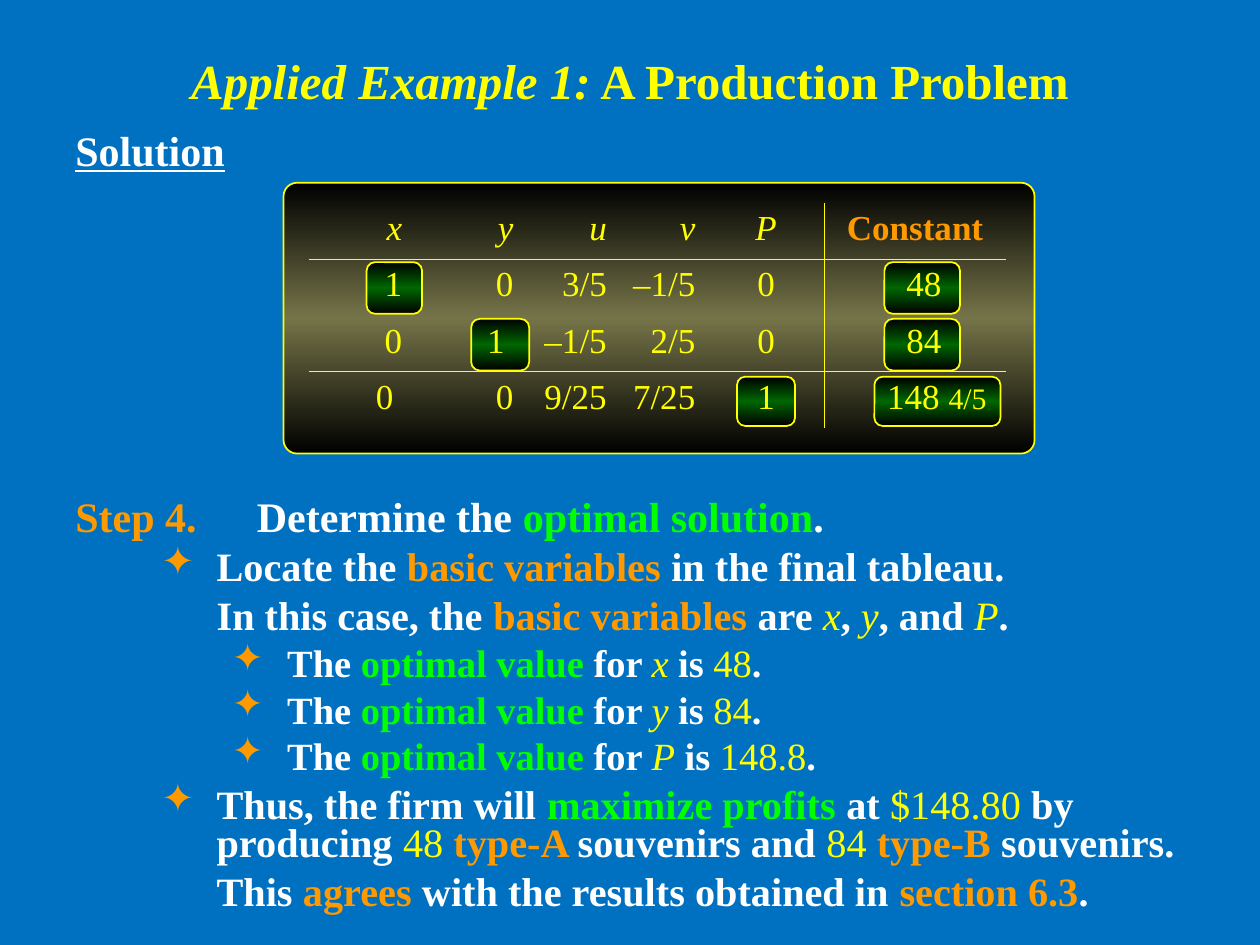
"""Build the slide on a production problem and its final tableau."""
from copy import deepcopy
from dataclasses import dataclass
from typing import Any

from lxml.etree import SubElement
from pptx import Presentation
from pptx.dml.color import RGBColor
from pptx.enum.shapes import MSO_SHAPE
from pptx.enum.text import MSO_ANCHOR, PP_ALIGN
from pptx.oxml.ns import qn
from pptx.util import Pt

HUES = {
    "blue": "0070C0", "white": "FFFFFF", "yellow": "FFFF00", "orange": "FF9900",
    "lime": "00FF00", "black": "000000", "olive": "757448", "green": "006600",
}
LOOKS = {
    "white": ("white", {"bold": True}),
    "under": ("white", {"bold": True, "underline": True}),
    "orange": ("orange", {"bold": True}),
    "lime": ("lime", {"bold": True}),
    "head": ("yellow", {"bold": True}),
    "slant": ("yellow", {"bold": True, "italic": True}),
    "num": ("yellow", {"bold": False}),
    "var": ("yellow", {"bold": False, "italic": True}),
}


@dataclass
class Panel:
    left: float
    top: float
    width: float
    height: float
    glow: str = "green"
    curve: float = 0.165


@dataclass
class Level:
    size: float
    left: float
    hang: float
    before: float = 0
    lines: float = 1.0
    mark: bool = False


@dataclass
class Entry:
    text: str
    look: str = "num"
    align: Any = PP_ALIGN.RIGHT
    west: float = 7.2
    east: float = 7.2
    tail: str = ""


STEP = Level(24, 103.7, -103.7)
POINT = Level(23, 80.7, -31.7, 5.8, 0.8, True)
NOTE = Level(23, 80.7, 0, 5.8, 0.8)
VALUE = Level(22, 121, -31.7, 5.5, 0.8, True)

PANELS = [
    Panel(162, 104.4, 429.2, 154.8, "olive", 0.05),
    Panel(209.5, 149.8, 31.7, 29.5),
    Panel(505.4, 149.8, 43.2, 29.5),
    Panel(269.3, 182.2, 33.1, 29.5),
    Panel(505.4, 182.2, 43.2, 29.5),
    Panel(421.2, 215.3, 33.1, 28.1),
    Panel(499.7, 215.3, 72, 28.1),
]


def result(name: str, value: str) -> tuple:
    """Give one line that states an optimal value."""
    return VALUE, [("The ", "white"), ("optimal value", "lime"), (" for ", "white"),
                   (name, "var"), (" is ", "white"), (value, "num"), (".", "white")]


STEPS = [
    (STEP, [("Step 4.\t", "orange"), ("Determine the ", "white"),
            ("optimal solution", "lime"), (".", "white")]),
    (POINT, [("Locate the ", "white"), ("basic variables", "orange"),
             (" in the final tableau.", "white")]),
    (NOTE, [("In this case, the ", "white"), ("basic variables", "orange"),
            (" are ", "white"), ("x", "var"), (", ", "white"), ("y", "var"),
            (", and ", "white"), ("P", "var"), (".", "white")]),
    *[result(*pair) for pair in (("x", "48"), ("y", "84"), ("P", "148.8"))],
    (POINT, [("Thus, the firm will ", "white"), ("maximize profits", "lime"),
             (" at ", "white"), ("$148.80", "num"), (" by producing ", "white"),
             ("48 ", "num"), ("type-A ", "orange"), ("souvenirs and ", "white"),
             ("84 ", "num"), ("type-B", "orange"), (" souvenirs.", "white")]),
    (NOTE, [("This ", "white"), ("agrees", "orange"),
            (" with the results obtained in ", "white"),
            ("section 6.3", "orange"), (".", "white")]),
]

MID = PP_ALIGN.CENTER
WIDTHS = [60.6, 63.6, 53.4, 50.6, 66.4, 104]
GRID = [
    [*[Entry(name, "var") for name in "xyuv"], Entry("P", "var", MID),
     Entry("Constant", "orange", MID)],
    [*[Entry(num) for num in ("1", "0", "3/5", "–1/5")], Entry("0", align=MID),
     Entry("48", align=MID, west=17.2)],
    [Entry("0"), Entry("1", east=12.2), Entry("–1/5"), Entry("2/5"),
     Entry("0", align=MID), Entry("84", align=MID, west=17.2)],
    [Entry("0", east=12.2), *[Entry(num) for num in ("0", "9/25", "7/25")],
     Entry("1", align=MID), Entry("148 ", align=MID, west=32.2, tail="4/5")],
]


def tint(key: str) -> RGBColor:
    """Give a named colour."""
    return RGBColor.from_string(HUES[key])


def apply(thing: Any, form: dict) -> None:
    """Set each format value on a thing."""
    for key, value in form.items():
        setattr(thing, key, value)


def write(para: Any, text: str, look: str, size: float) -> None:
    """Add one styled run."""
    run = para.add_run()
    run.text = text
    hue, form = LOOKS[look]
    apply(run.font, {"name": "Times New Roman", "size": Pt(size), **form})
    run.font.color.rgb = tint(hue)


def add_box(slide: Any, left: float, top: float, width: float, height: float) -> Any:
    """Add a wrapping text box and give its frame."""
    frame = slide.shapes.add_textbox(*map(Pt, (left, top, width, height))).text_frame
    apply(frame, {"word_wrap": True, "margin_top": 0, "margin_bottom": 0})
    return frame


def add_line(para: Any, level: Level, runs: list) -> None:
    """Fill a paragraph at its level."""
    props = para._p.get_or_add_pPr()
    props.set("marL", str(Pt(level.left)))
    props.set("indent", str(Pt(level.hang)))
    if level.mark:
        SubElement(SubElement(props, qn("a:buClr")), qn("a:srgbClr"), val=HUES["orange"])
        SubElement(props, qn("a:buChar"), char="✦")
    apply(para, {"space_before": Pt(level.before), "line_spacing": level.lines})
    for text, look in runs:
        write(para, text, look, level.size)


def add_panel(slide: Any, panel: Panel) -> None:
    """Draw a round panel with a glow across its middle."""
    place = map(Pt, (panel.left, panel.top, panel.width, panel.height))
    shape = slide.shapes.add_shape(MSO_SHAPE.ROUNDED_RECTANGLE, *place)
    shape.shadow.inherit = False
    shape.adjustments[0] = panel.curve
    shape.fill.gradient()
    shape.fill.gradient_angle = 90
    stops = shape.element.find(".//" + qn("a:gsLst"))
    stops.insert(1, deepcopy(stops[0]))
    for stop, spot, hue in zip(shape.fill.gradient_stops, (0, 0.5, 1),
                               ("black", panel.glow, "black")):
        stop.position = spot
        stop.color.rgb = tint(hue)
    shape.line.color.rgb = tint("yellow")
    shape.line.width = Pt(1)


def add_rules(cell: Any, sides: dict) -> None:
    """Rule the chosen sides of a cell and clear the rest."""
    props = cell._tc.get_or_add_tcPr()
    for spot, (side, shown) in enumerate(sides.items()):
        line = SubElement(props, qn("a:ln" + side), w=str(Pt(0.45)))
        props.insert(spot, line)
        fill = SubElement(line, qn("a:solidFill" if shown else "a:noFill"))
        if shown:
            SubElement(fill, qn("a:srgbClr"), val=HUES["yellow"])


def add_grid(slide: Any) -> None:
    """Draw the final tableau."""
    place = map(Pt, (176.4, 115.9, sum(WIDTHS), 128.8))
    table = slide.shapes.add_table(len(GRID), len(WIDTHS), *place).table
    apply(table, {"first_row": False, "horz_banding": False})
    for col, width in zip(table.columns, WIDTHS):
        col.width = Pt(width)
    for down, row in enumerate(GRID):
        for over, entry in enumerate(row):
            cell = table.cell(down, over)
            cell.fill.background()
            apply(cell, {"margin_left": Pt(entry.west), "margin_right": Pt(entry.east),
                         "margin_top": Pt(3.6), "margin_bottom": Pt(3.6)})
            add_rules(cell, {"L": over == 5, "R": over == 4,
                             "T": down in (1, 3), "B": down in (0, 2)})
            para = cell.text_frame.paragraphs[0]
            para.alignment = entry.align
            write(para, entry.text, entry.look, 20)
            if entry.tail:
                write(para, entry.tail, entry.look, 17)


def main() -> None:
    """Build and save the slide."""
    deck = Presentation()
    apply(deck, {"slide_width": Pt(720), "slide_height": Pt(540)})
    slide = deck.slides.add_slide(deck.slide_layouts[6])
    slide.background.fill.solid()
    slide.background.fill.fore_color.rgb = tint("blue")
    title = add_box(slide, 36, 0, 648, 91)
    title.vertical_anchor = MSO_ANCHOR.MIDDLE
    title.paragraphs[0].alignment = MID
    add_line(title.paragraphs[0], Level(28, 0, 0),
             [("Applied Example 1:", "slant"), (" A Production Problem", "head")])
    label = add_box(slide, 36, 71, 120, 28)
    add_line(label.paragraphs[0], Level(24, 0, 0), [("Solution", "under")])
    for panel in PANELS:
        add_panel(slide, panel)
    add_grid(slide)
    steps = add_box(slide, 36, 280.3, 653.8, 245)
    for spot, (level, runs) in enumerate(STEPS):
        add_line(steps.add_paragraph() if spot else steps.paragraphs[0], level, runs)
    deck.save("out.pptx")


if __name__ == "__main__":
    main()
